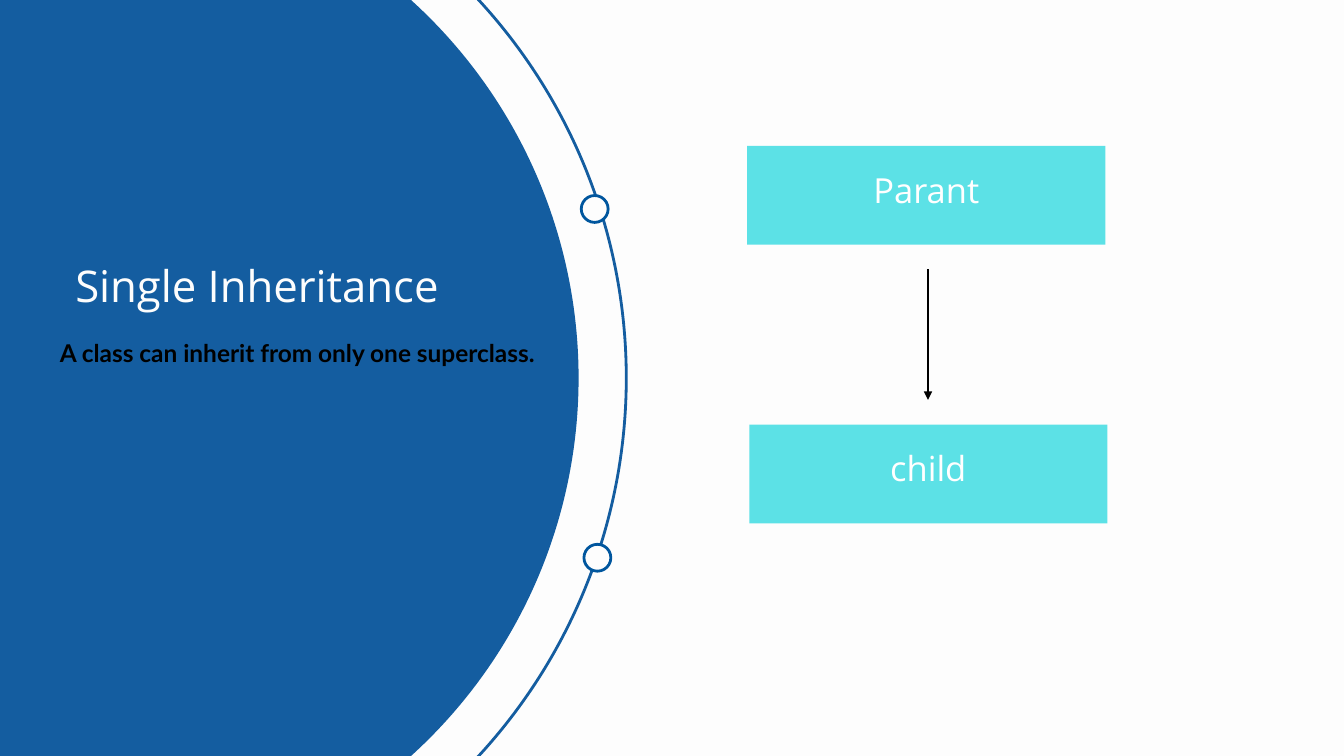
import dataclasses

import lxml.etree
import pptx
import pptx.dml.color
import pptx.enum.shapes
import pptx.enum.text
import pptx.oxml.ns
import pptx.util

Inches = pptx.util.Inches
Pt = pptx.util.Pt
Shape = pptx.enum.shapes.MSO_SHAPE
Align = pptx.enum.text.PP_ALIGN
Anchor = pptx.enum.text.MSO_ANCHOR


@dataclasses.dataclass(frozen=True)
class Theme:
    paper: str = "FDFDFD"
    disc: str = "145DA0"
    ring: str = "00569E"
    card: str = "5CE1E6"
    white: str = "FFFFFF"
    black: str = "000000"
    head: str = "Open Sans"
    body: str = "Lato"
    big: float = 46.8
    mid: float = 37
    small: float = 26.2
    line: float = 3


def rgb(code):
    return pptx.dml.color.RGBColor.from_string(code)


def write(shape, text, font, size, color, lead, align=Align.CENTER,
          bold=False, anchor=Anchor.TOP, pads=(0, 0, 0, 0)):
    frame = shape.text_frame
    frame.word_wrap = True
    frame.auto_size = pptx.enum.text.MSO_AUTO_SIZE.NONE
    frame.vertical_anchor = anchor
    (frame.margin_left, frame.margin_top,
     frame.margin_right, frame.margin_bottom) = map(Inches, pads)
    frame.text = text
    par = frame.paragraphs[0]
    par.alignment = align
    par.line_spacing = Pt(lead)
    par.space_before = Pt(0)
    par.font.name = font
    par.font.size = Pt(size)
    par.font.bold = bold
    par.font.color.rgb = rgb(color)


class Deck:
    """Holds the theme and the current slide, and draws each kind of element."""

    def __init__(self, show, theme):
        self.theme = theme
        self.slide = show.slides.add_slide(show.slide_layouts[0])
        fill = self.slide.background.fill
        fill.solid()
        fill.fore_color.rgb = rgb(theme.paper)

    def shape(self, kind, left, top, width, height, fill=None, line=None):
        item = self.slide.shapes.add_shape(
            kind, Inches(left), Inches(top), Inches(width), Inches(height))
        item.shadow.inherit = False
        if fill:
            item.fill.solid()
            item.fill.fore_color.rgb = rgb(fill)
        else:
            item.fill.background()
        if line:
            item.line.color.rgb = rgb(line)
            item.line.width = Pt(self.theme.line)
        else:
            item.line.fill.background()
        return item

    def circle(self, x, y, radius, **look):
        side = 2 * radius
        self.shape(Shape.OVAL, x - radius, y - radius, side, side, **look)

    def card(self, text, left, top):
        theme = self.theme
        box = self.shape(Shape.RECTANGLE, left, top, 5.33, 1.47, fill=theme.card)
        write(box, text, theme.head, theme.mid, theme.white, 51.8,
              anchor=Anchor.MIDDLE, pads=(0.06, 0.06, 0.06, 0.34))

    def arrow(self, x, start, end):
        item = self.slide.shapes.add_connector(
            pptx.enum.shapes.MSO_CONNECTOR.STRAIGHT,
            Inches(x), Inches(start), Inches(x), Inches(end))
        item.line.width = Pt(self.theme.line)
        item.line.color.rgb = rgb(self.theme.black)
        qn = pptx.oxml.ns.qn
        props = item.element.spPr
        lxml.etree.SubElement(props.find(qn("a:ln")), qn("a:tailEnd"), type="triangle")
        lxml.etree.SubElement(props, qn("a:effectLst"))

    def holder(self, index, text, left, top, width, height, **style):
        item = self.slide.placeholders[index]
        item.left, item.top = Inches(left), Inches(top)
        item.width, item.height = Inches(width), Inches(height)
        item.element.getparent().append(item.element)
        write(item, text, **style)


def main():
    theme = Theme()
    show = pptx.Presentation()
    show.slide_width = Inches(20)
    show.slide_height = Inches(11.25)
    deck = Deck(show, theme)

    deck.circle(1.02, 5.625, 8.3, line=theme.disc)
    deck.circle(1.02, 5.625, 7.59, fill=theme.disc)
    for x, y in ((8.85, 3.11), (8.89, 8.3)):
        deck.circle(x, y, 0.2, fill=theme.paper, line=theme.ring)

    deck.holder(0, "Single Inheritance", 1.12, 3.72, 6.6, 0.87,
                font=theme.head, size=theme.big, color=theme.paper,
                lead=65.5, align=Align.LEFT)
    deck.holder(1, "A class can inherit from only one superclass.",
                0.37, 4.87, 8.11, 0.54, font=theme.body, size=theme.small,
                color=theme.black, lead=43.5, bold=True)

    deck.card("Parant", 11.12, 2.17)
    deck.arrow(13.81, 4.01, 5.95)
    deck.card("child", 11.15, 6.32)
    show.save("out.pptx")


if __name__ == "__main__":
    main()
